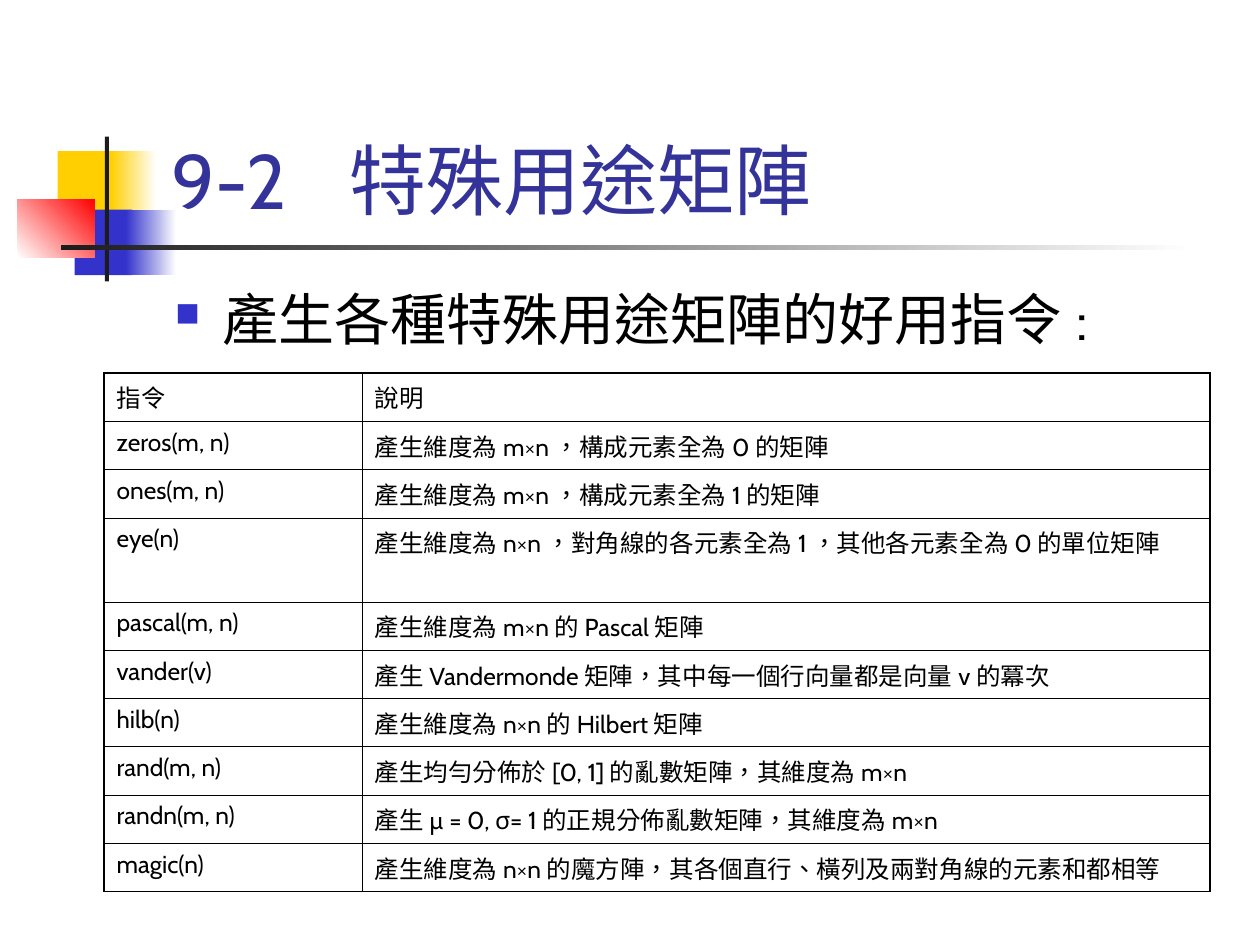
from lxml import etree
from pptx import Presentation
from pptx.dml.color import RGBColor
from pptx.enum.lang import MSO_LANGUAGE_ID
from pptx.enum.shapes import MSO_SHAPE
from pptx.enum.text import MSO_ANCHOR
from pptx.oxml.ns import qn
from pptx.util import Pt

RECTANGLE = MSO_SHAPE.RECTANGLE
BOTTOM = MSO_ANCHOR.BOTTOM
TOP = MSO_ANCHOR.TOP
CHINESE = MSO_LANGUAGE_ID.TRADITIONAL_CHINESE

LATIN_FONT, ASIAN_FONT = "Cabin", "Noto Sans CJK SC"
BLACK, WHITE, DARK = "000000", "FFFFFF", "1C1C1C"
YELLOW, BLUE, RED, TITLE_BLUE = "FFCF01", "3333CC", "FF0000", "333399"
THIN, THICK = 0.45, 1.08

# Each description is a list of runs, split where the script changes
COMMANDS = [
    ("指令", ["說明"]),
    ("zeros(m, n)", ["產生維度為 ", "m×n ", "，構成元素全為 ", "0 ", "的矩陣"]),
    ("ones(m, n)", ["產生維度為 ", "m×n ", "，構成元素全為 ", "1 ", "的矩陣"]),
    ("eye(n)", ["產生維度為 ", "n×n ", "，對角線的各元素全為 ", "1 ",
                "，其他各元素全為 ", "0 ", "的單位矩陣"]),
    ("pascal(m, n)", ["產生維度為 ", "m×n ", "的 ", "Pascal ", "矩陣"]),
    ("vander(v)", ["產生 ", "Vandermonde ", "矩陣，其中每一個行向量都是向量 v 的冪次"]),
    ("hilb(n)", ["產生維度為 ", "n×n ", "的 ", "Hilbert ", "矩陣"]),
    ("rand(m, n)", ["產生均勻分佈於 ", "[0, 1] ", "的亂數矩陣，其維度為 ", "m×n"]),
    ("randn(m, n)", ["產生 ", "µ = 0, σ= 1 ", "的正規分佈亂數矩陣，其維度為 ", "m×n"]),
    ("magic(n)", ["產生維度為 ", "n×n ", "的魔方陣，其各個直行、橫列及兩對角線的元素和都相等"]),
]


def color(value):
    return RGBColor.from_string(value)


def add_element(parent, tag, **attributes):
    return etree.SubElement(parent, qn(tag), attributes)


def add_runs(paragraph, texts, size, text_color):
    for text in texts:
        run = paragraph.add_run()
        run.text = text
        run.font.size = Pt(size)
        run.font.language_id = CHINESE
        run.font.color.rgb = color(text_color)
        run.font.name = LATIN_FONT
        add_element(run.font._element, "a:ea", typeface=ASIAN_FONT)


def add_bar(slide, box, start, end=None, angle=0):
    shape = slide.shapes.add_shape(RECTANGLE, *map(Pt, box))
    shape.shadow.inherit = False
    shape.line.fill.background()
    if end is None:
        shape.fill.solid()
        shape.fill.fore_color.rgb = color(start)
        return
    shape.fill.gradient()
    shape.fill.gradient_angle = angle
    for stop, value in zip(shape.fill.gradient_stops, (start, end)):
        stop.color.rgb = color(value)


def add_ornament(slide, left, top):
    """Coloured blocks and the crossing rules beside the title."""
    bars = [
        ((23, 8.4, 34.5, 37.4), YELLOW),
        ((53.3, 8.4, 26, 37.4), YELLOW, WHITE),
        ((32.6, 41.8, 33, 37.4), BLUE),
        ((62, 41.8, 28.8, 37.4), BLUE, WHITE),
        ((0, 36, 44.2, 33.1), WHITE, RED, 45),
        ((49.9, 0, 2.3, 82.8), DARK),
        ((24.9, 62.2, 648, 2.5), DARK, WHITE),
    ]
    for (x, y, width, height), *style in bars:
        add_bar(slide, (left + x, top + y, width, height), *style)


def add_paragraph_box(slide, box, anchor, indent):
    """Text box with one paragraph that has a hanging indent."""
    frame = slide.shapes.add_textbox(*map(Pt, box)).text_frame
    frame.word_wrap = True
    frame.vertical_anchor = anchor
    paragraph = frame.paragraphs[0]
    properties = paragraph._p.get_or_add_pPr()
    properties.set("marL", str(Pt(indent)))
    properties.set("indent", str(-Pt(indent)))
    return paragraph, properties


def add_title(slide, box):
    paragraph, properties = add_paragraph_box(slide, box, BOTTOM, 66)
    tabs = add_element(properties, "a:tabLst")
    add_element(tabs, "a:tab", pos=str(Pt(138)), algn="l")
    add_runs(paragraph, ["9-2 \t", "特殊用途矩陣"], 44, TITLE_BLUE)


def add_body(slide, box):
    paragraph, properties = add_paragraph_box(slide, box, TOP, 27)
    bullet_color = add_element(properties, "a:buClr")
    add_element(bullet_color, "a:srgbClr", val=BLUE)
    add_element(properties, "a:buSzPct", val="60000")
    # The letter n is a filled square in this symbol font
    add_element(properties, "a:buFont", typeface="Wingdings", charset="2")
    add_element(properties, "a:buChar", char="n")
    add_runs(paragraph, ["產生各種特殊用途矩陣的好用指令 :"], 32, BLACK)


def set_borders(cell, widths):
    """Draw the left, right, top and bottom borders in that order."""
    properties = cell._tc.get_or_add_tcPr()
    for index, (side, width) in enumerate(zip("LRTB", widths)):
        line = etree.Element(qn(f"a:ln{side}"), {"w": str(Pt(width))})
        fill = add_element(line, "a:solidFill")
        add_element(fill, "a:srgbClr", val=BLACK)
        properties.insert(index, line)


def add_command_table(slide, box):
    table = slide.shapes.add_table(len(COMMANDS), 2, *map(Pt, box)).table
    table.first_row = table.horz_banding = False
    name_width = 147.5
    table.columns[0].width = Pt(name_width)
    table.columns[1].width = Pt(box[2] - name_width)
    last = len(COMMANDS) - 1
    for row, (name, description) in enumerate(COMMANDS):
        table.rows[row].height = Pt(48 if name == "eye(n)" else 27.6)
        for column, texts in enumerate(([name], description)):
            cell = table.cell(row, column)
            cell.fill.background()
            cell.margin_left = cell.margin_right = Pt(7.2)
            cell.margin_top = cell.margin_bottom = Pt(3.6)
            add_runs(cell.text_frame.paragraphs[0], texts, 14, BLACK)
            outer = (column == 0, column == 1, row == 0, row == last)
            set_borders(cell, [THICK if edge else THIN for edge in outer])


def main():
    presentation = Presentation()
    presentation.slide_width, presentation.slide_height = Pt(720), Pt(540)
    slide = presentation.slides.add_slide(presentation.slide_layouts[6])
    add_ornament(slide, 10, 78)
    add_title(slide, (90.7, 16.6, 613.4, 115.2))
    add_body(slide, (93, 159, 612, 324))
    add_command_table(slide, (59.4, 213.2, 632.2, 296.4))
    presentation.save("out.pptx")


if __name__ == "__main__":
    main()
